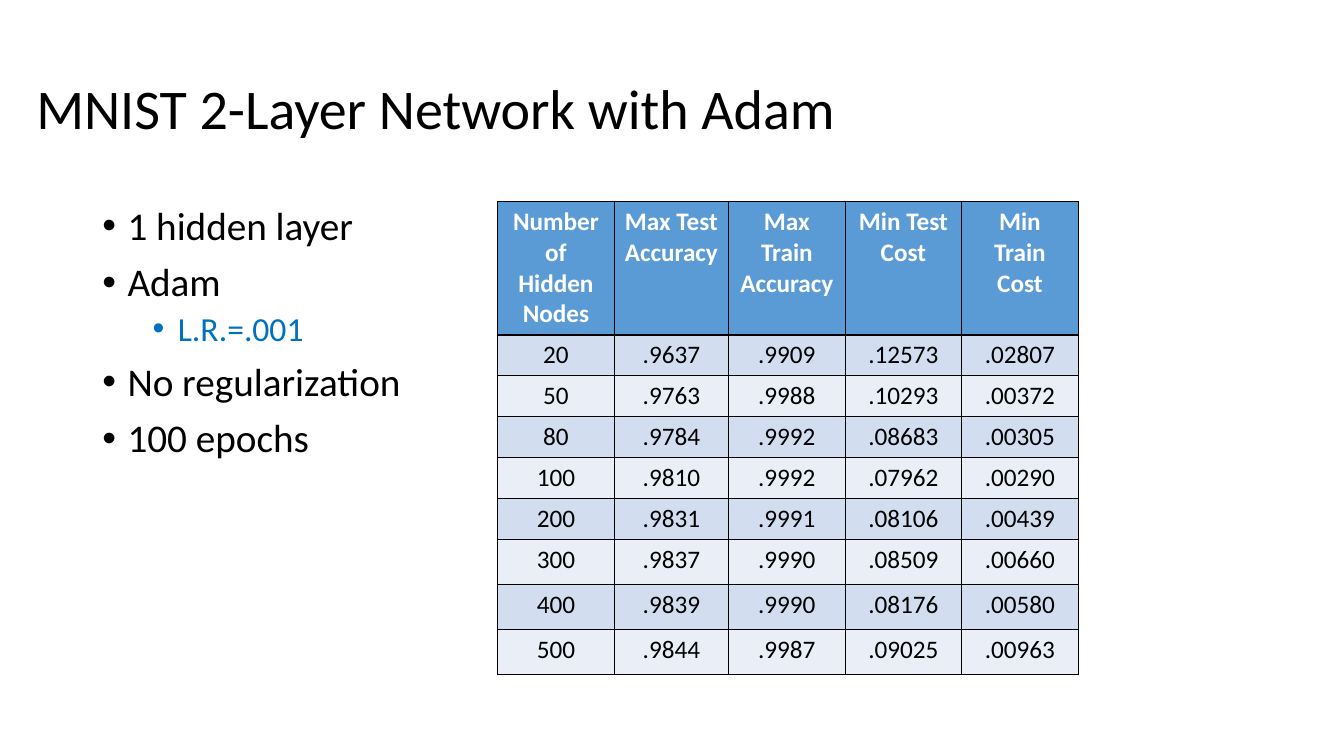
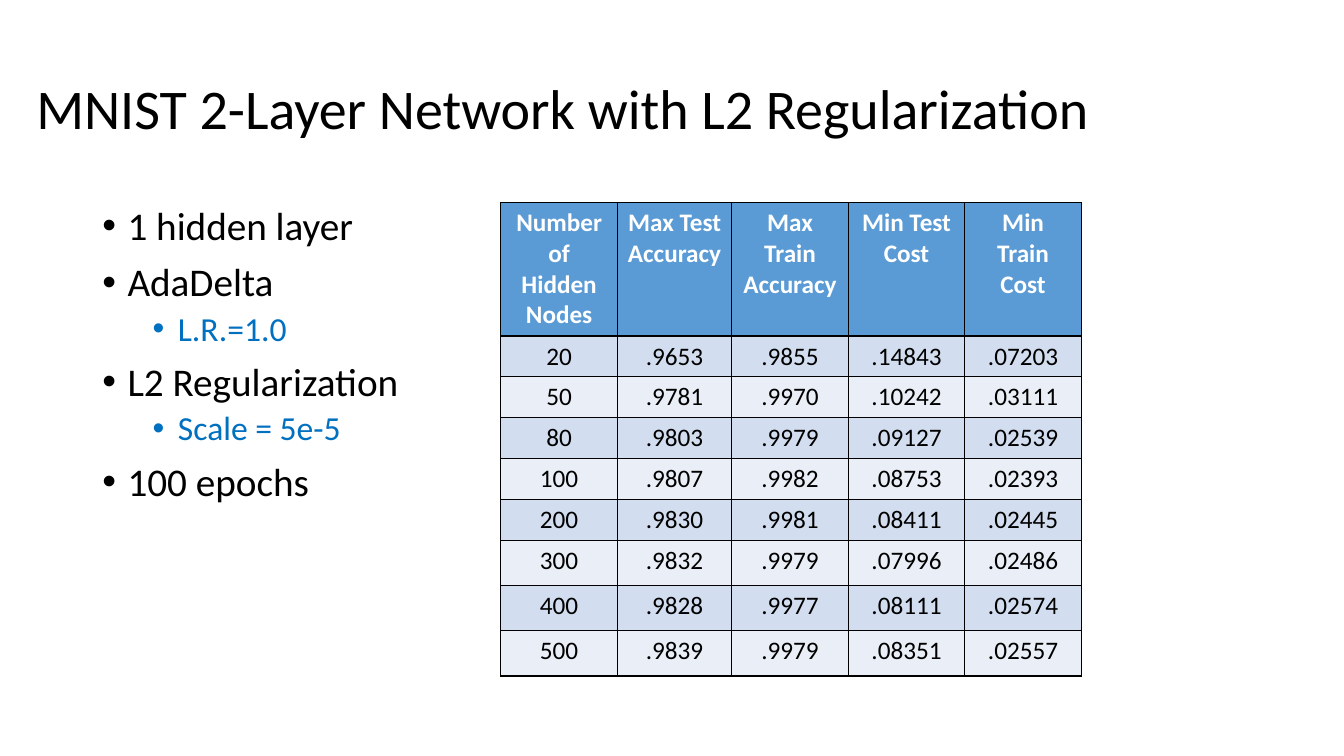
from lxml.etree import SubElement
from pptx import Presentation
from pptx.dml.color import RGBColor
from pptx.enum.text import MSO_ANCHOR, MSO_AUTO_SIZE, PP_ALIGN
from pptx.oxml import parse_xml
from pptx.oxml.ns import nsdecls, qn
from pptx.util import Emu, Pt

FONT = "Calibri"
BLACK, WHITE = "000000", "FFFFFF"
HEADER_BLUE, BAND_DARK, BAND_LIGHT = "5B9BD5", "D2DEEF", "EAEFF7"
DETAIL_BLUE = "0070C0"

TITLE_BOX = (25, 37, 1104, 139)
BULLET_BOX = (88, 192, 325, 324)
COLUMN_WIDTHS = [111, 109, 111, 111, 111]
ROW_HEIGHTS = [127] + [39] * 5 + [43] * 3
BULLET_INDENT = 24
# Per level: left margin in px, space before, size, colour
BULLET_LEVELS = [(24, 10, 28, BLACK), (72, 5, 24, DETAIL_BLUE)]

HEADINGS = ["Number of Hidden Nodes", "Max Test Accuracy", "Max Train Accuracy",
            "Min Test Cost", "Min Train Cost"]

SLIDES = [
    {
        "title": "MNIST 2-Layer Network with Adam",
        "bullets": [(0, "1 hidden layer"), (0, "Adam"), (1, "L.R.=.001"),
                    (0, "No regularization"), (0, "100 epochs")],
        "table_corner": (474, 192),
        "results": [
            ("20", ".9637", ".9909", ".12573", ".02807"),
            ("50", ".9763", ".9988", ".10293", ".00372"),
            ("80", ".9784", ".9992", ".08683", ".00305"),
            ("100", ".9810", ".9992", ".07962", ".00290"),
            ("200", ".9831", ".9991", ".08106", ".00439"),
            ("300", ".9837", ".9990", ".08509", ".00660"),
            ("400", ".9839", ".9990", ".08176", ".00580"),
            ("500", ".9844", ".9987", ".09025", ".00963"),
        ],
    },
    {
        "title": "MNIST 2-Layer Network with L2 Regularization",
        "bullets": [(0, "1 hidden layer"), (0, "AdaDelta"), (1, "L.R.=1.0"),
                    (0, "L2 Regularization"), (1, "Scale = 5e-5"), (0, "100 epochs")],
        "table_corner": (477, 193),
        "results": [
            ("20", ".9653", ".9855", ".14843", ".07203"),
            ("50", ".9781", ".9970", ".10242", ".03111"),
            ("80", ".9803", ".9979", ".09127", ".02539"),
            ("100", ".9807", ".9982", ".08753", ".02393"),
            ("200", ".9830", ".9981", ".08411", ".02445"),
            ("300", ".9832", ".9979", ".07996", ".02486"),
            ("400", ".9828", ".9977", ".08111", ".02574"),
            ("500", ".9839", ".9979", ".08351", ".02557"),
        ],
    },
]


def px(length):
    return Emu(length * 9525)


def color(value):
    return RGBColor.from_string(value)


def format_runs(para, size, hex_color, bold=False):
    for span in para.runs:
        span.font.name = FONT
        span.font.size = Pt(size)
        span.font.bold = bold
        span.font.color.rgb = color(hex_color)


def add_title(page, text, box):
    title = page.shapes.title
    title.left, title.top, title.width, title.height = map(px, box)
    frame = title.text_frame
    frame.text = text
    frame.word_wrap = True
    frame.auto_size = MSO_AUTO_SIZE.NONE
    frame.vertical_anchor = MSO_ANCHOR.MIDDLE
    para = frame.paragraphs[0]
    para.alignment = PP_ALIGN.LEFT
    para.line_spacing = 0.9
    format_runs(para, 40, BLACK)


def add_bullets(page, bullets, box):
    frame = page.shapes.add_textbox(*map(px, box)).text_frame
    frame.word_wrap = True
    for index, (level, text) in enumerate(bullets):
        margin, space, size, hex_color = BULLET_LEVELS[level]
        para = frame.add_paragraph() if index else frame.paragraphs[0]
        para.text = text
        para.level = level
        properties = para._p.get_or_add_pPr()
        properties.set("marL", str(px(margin)))
        properties.set("indent", str(-px(BULLET_INDENT)))
        SubElement(properties, qn("a:buFont"), typeface="Arial")
        SubElement(properties, qn("a:buChar"), char="•")
        para.line_spacing = 0.9
        para.space_before = Pt(space if index else 0)
        format_runs(para, size, hex_color)


def add_borders(cell):
    properties = cell._tc.get_or_add_tcPr()
    for position, side in enumerate("LRTB"):
        properties.insert(position, parse_xml(
            f'<a:ln{side} {nsdecls("a")} w="12700"><a:solidFill>'
            f'<a:srgbClr val="{BLACK}"/></a:solidFill></a:ln{side}>'))


def add_results(page, results, corner):
    """Place the results table with its top left at corner."""
    rows = [HEADINGS, *results]
    size = (sum(COLUMN_WIDTHS), sum(ROW_HEIGHTS))
    table = page.shapes.add_table(
        len(rows), len(HEADINGS), *map(px, corner + size)).table
    for column, width in zip(table.columns, COLUMN_WIDTHS):
        column.width = px(width)
    for index, (row, height, values) in enumerate(zip(table.rows, ROW_HEIGHTS, rows)):
        row.height = px(height)
        is_header = index == 0
        band = BAND_DARK if index % 2 else BAND_LIGHT
        for cell, value in zip(row.cells, values):
            cell.text = value
            cell.fill.solid()
            cell.fill.fore_color.rgb = color(HEADER_BLUE if is_header else band)
            add_borders(cell)
            para = cell.text_frame.paragraphs[0]
            para.alignment = PP_ALIGN.CENTER
            format_runs(para, 18, WHITE if is_header else BLACK, bold=is_header)


def add_experiment(deck, content):
    page = deck.slides.add_slide(deck.slide_layouts.get_by_name("Title Only"))
    add_title(page, content["title"], TITLE_BOX)
    add_results(page, content["results"], content["table_corner"])
    add_bullets(page, content["bullets"], BULLET_BOX)


def main():
    deck = Presentation()
    deck.slide_width, deck.slide_height = px(1280), px(720)
    for content in SLIDES:
        add_experiment(deck, content)
    deck.save("out.pptx")


if __name__ == "__main__":
    main()
